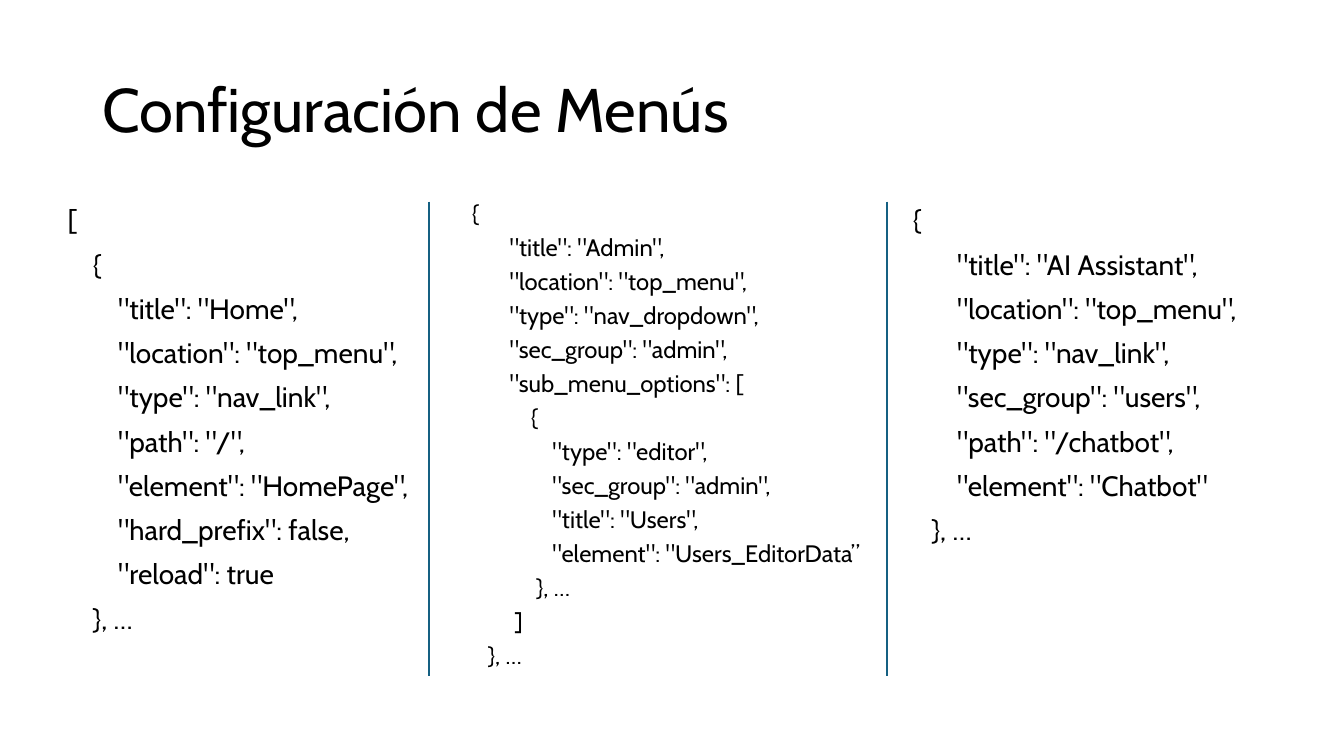
from pptx import Presentation
from pptx.dml.color import RGBColor
from pptx.enum.shapes import MSO_CONNECTOR as Connector
from pptx.enum.text import MSO_ANCHOR as Anchor
from pptx.oxml.ns import qn
from pptx.util import Emu, Pt
from lxml.etree import SubElement

PX = 9525
FONT = "Cabin"
BLACK = "000000"
DIVIDER_BLUE = "156082"
COLUMN_TOP, COLUMN_HEIGHT = 192, 457
DIVIDER_BOTTOM = 644

HOME_MENU = """[
    {
        "title": "Home",
        "location": "top_menu",
        "type": "nav_link",
        "path": "/",
        "element": "HomePage",
        "hard_prefix": false,
        "reload": true
    }, …"""

ADMIN_MENU = """ {
        "title": "Admin",
        "location": "top_menu",
        "type": "nav_dropdown",
        "sec_group": "admin",
        "sub_menu_options": [
            {
                "type": "editor",
                "sec_group": "admin",
                "title": "Users",
                "element": "Users_EditorData”
             }, …
         ]
    }, …"""

ASSISTANT_MENU = """ {
        "title": "AI Assistant",
        "location": "top_menu",
        "type": "nav_link",
        "sec_group": "users",
        "path": "/chatbot",
        "element": "Chatbot"
    }, …"""


def px(length):
    return Emu(length * PX)


def color(hex_value):
    return RGBColor.from_string(hex_value)


def apply_format(target, values):
    for name, value in values.items():
        setattr(target, name, value)


def add_text(page, bounds, text, size, line_spacing, anchor=Anchor.TOP):
    """Add a text box with one paragraph for each line of text."""
    box = page.shapes.add_textbox(*map(px, bounds))
    frame = box.text_frame
    apply_format(frame, {"word_wrap": True, "vertical_anchor": anchor})
    for index, line in enumerate(text.splitlines()):
        para = frame.paragraphs[0] if index == 0 else frame.add_paragraph()
        apply_format(para, {"line_spacing": line_spacing,
                            "space_before": Pt(10 if index else 0)})
        span = para.add_run()
        span.text = line
        apply_format(span.font, {"name": FONT, "size": Pt(size)})
        span.font.color.rgb = color(BLACK)


def add_divider(page, x):
    divider = page.shapes.add_connector(
        Connector.STRAIGHT, px(x), px(COLUMN_TOP), px(x), px(DIVIDER_BOTTOM))
    divider.line.color.rgb = color(DIVIDER_BLUE)
    divider.line.width = Pt(1.5)
    SubElement(divider._element.spPr, qn("a:effectLst"))


def main():
    deck = Presentation()
    apply_format(deck, {"slide_width": px(1280), "slide_height": px(720)})
    page = deck.slides.add_slide(deck.slide_layouts[6])

    add_text(page, (88, 38, 835, 139), "Configuración de Menús", 44, 0.9,
             Anchor.MIDDLE)
    columns = [
        (55, 347, HOME_MENU, 20, 0.9),
        (435, 397, ADMIN_MENU, 17, 0.7),
        (854, 347, ASSISTANT_MENU, 20, 0.9),
    ]
    for left, width, code, size, spacing in columns:
        add_text(page, (left, COLUMN_TOP, width, COLUMN_HEIGHT), code, size,
                 spacing)
    for x in (409, 845):
        add_divider(page, x)

    deck.save("out.pptx")


if __name__ == "__main__":
    main()
